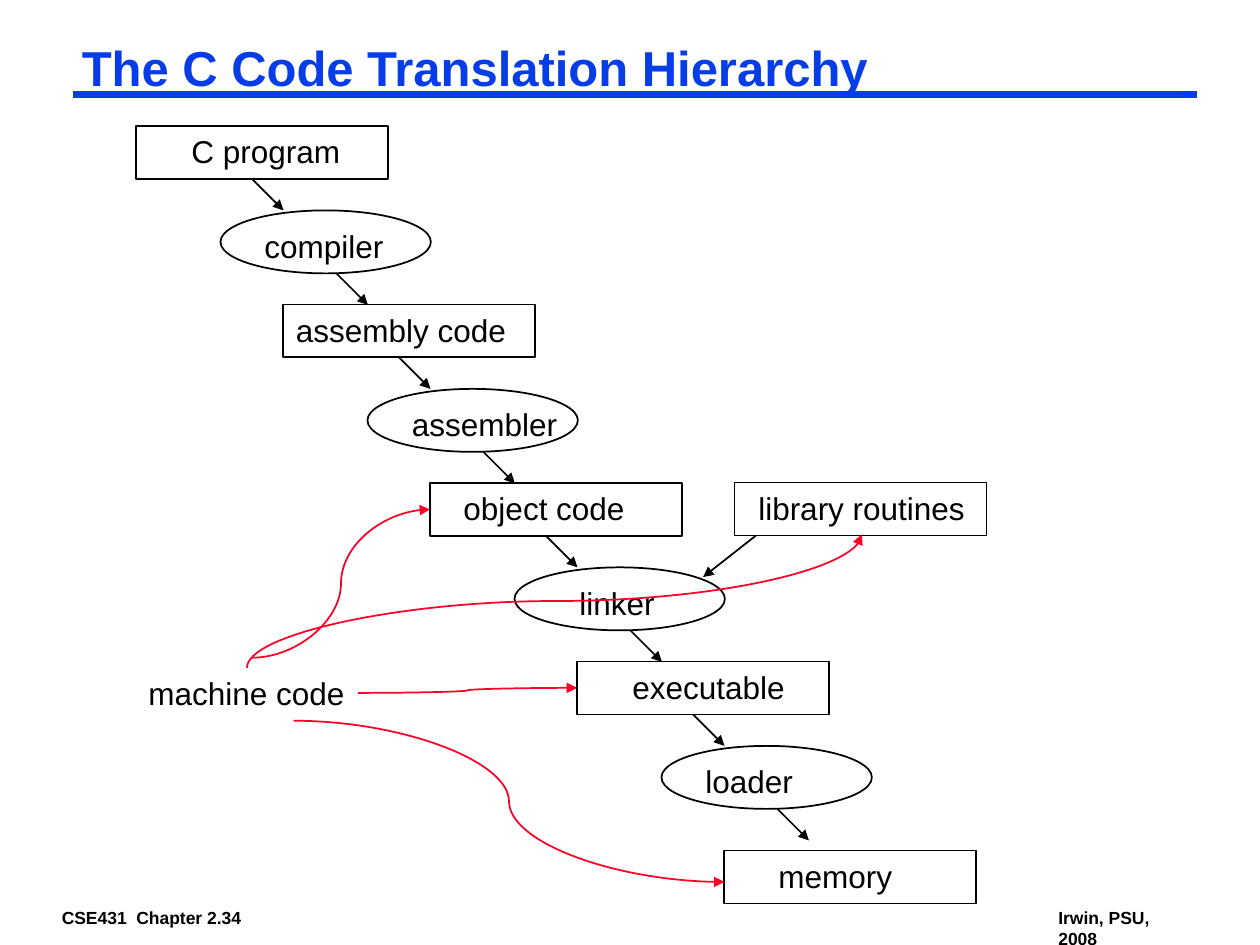
from dataclasses import dataclass

from lxml import etree
from pptx import Presentation
from pptx.dml.color import RGBColor
from pptx.enum import shapes, text
from pptx.oxml.ns import qn
from pptx.util import Inches, Pt

COLORS = {"ink": "000000", "title": "063DE8", "machine": "FC0128"}
FONT = "Arial"
STEP_X, STEP_Y = 7 / 6, 17 / 12  # shift from one translation stage to the next
BOX = (2, 0.42)
OVAL = (1.67, 0.5)
STRAIGHT = shapes.MSO_CONNECTOR.STRAIGHT
CURVE = shapes.MSO_CONNECTOR.CURVE


@dataclass
class Node:
    label: str
    left: float
    top: float
    label_left: float
    label_width: float
    is_tool: bool = False


def color(name: str) -> RGBColor:
    return RGBColor.from_string(COLORS[name])


def add_label(slide, words: str, left: float, top: float, width: float,
              height: float = 0.4, size: float = 18, bold: bool = False,
              inset: tuple = (0.1, 0.05), wrap: bool = False):
    label = slide.shapes.add_textbox(Inches(left), Inches(top), Inches(width), Inches(height))
    frame = label.text_frame
    frame.word_wrap = wrap
    frame.margin_left = frame.margin_right = Inches(inset[0])
    frame.margin_top = frame.margin_bottom = Inches(inset[1])
    paragraph = frame.paragraphs[0]
    paragraph.text = words
    font = paragraph.font
    font.name, font.size, font.bold = FONT, Pt(size), bold
    font.color.rgb = color("ink")
    return label


def add_node(slide, node: Node):
    kind = shapes.MSO_SHAPE.OVAL if node.is_tool else shapes.MSO_SHAPE.RECTANGLE
    width, height = OVAL if node.is_tool else BOX
    outline = slide.shapes.add_shape(kind, Inches(node.left), Inches(node.top),
                                     Inches(width), Inches(height))
    outline.shadow.inherit = False
    outline.fill.background()
    outline.line.color.rgb = color("ink")
    outline.line.width = Pt(1)
    label_top = node.top + (0.08 if node.is_tool else 0)
    add_label(slide, node.label, node.label_left, label_top, node.label_width)
    return outline


def add_line(slide, start: tuple, end: tuple, tint: str = "ink",
             kind=STRAIGHT, width: float = 1, arrow: bool = True):
    line = slide.shapes.add_connector(kind, *(Inches(v) for v in (*start, *end)))
    line.line.color.rgb = color(tint)
    line.line.width = Pt(width)
    properties = line._element.spPr
    if arrow:
        etree.SubElement(properties.find(qn("a:ln")), qn("a:tailEnd"), type="triangle")
    etree.SubElement(properties, qn("a:effectLst"))
    return line


def add_title(slide, words: str):
    title = slide.shapes.title
    title.left, title.top = Inches(0.58), Inches(0.33)
    title.width, title.height = Inches(8.92), Inches(0.46)
    frame = title.text_frame
    frame.auto_size = text.MSO_AUTO_SIZE.NONE
    frame.vertical_anchor = text.MSO_ANCHOR.TOP
    frame.margin_left = frame.margin_right = Inches(0.07)
    frame.margin_top = frame.margin_bottom = Inches(0.03)
    paragraph = frame.paragraphs[0]
    paragraph.text = words
    paragraph.alignment = text.PP_ALIGN.LEFT
    paragraph.line_spacing = 0.87
    font = paragraph.font
    font.name, font.size, font.bold = FONT, Pt(28), True
    font.color.rgb = color("title")


def main():
    deck = Presentation()
    deck.slide_width, deck.slide_height = Inches(10), Inches(7.5)
    slide = deck.slides.add_slide(deck.slide_layouts[5])

    # Footer, title and rule
    for words, left, width, height, wrap in (
        ("CSE431  Chapter 2.34", 0.42, 1.59, 0.22, False),
        ("Irwin, PSU, 2008", 8.33, 1.2, 0.39, True),
    ):
        add_label(slide, words, left, 7.17, width, height, 10, True, (0.07, 0.03), wrap)
    add_line(slide, (0.58, 0.75), (9.5, 0.75), "title", width=4.5, arrow=False)
    add_title(slide, "The C Code Translation Hierarchy")

    # Program forms, and the tools that translate between them
    forms = [("C program", 1.42, 1.39), ("assembly code", 2.25, 1.87),
             ("object code", 3.58, 1.48), ("executable", 4.92, 1.41),
             ("memory", 6.08, 1.1)]
    tools = [("compiler", 2, 1.15), ("assembler", 3.17, 1.35),
             ("linker", 4.5, 0.8), ("loader", 5.5, 0.9)]
    boxes = {}
    for stage, (label, left, width) in enumerate(forms):
        top = 6.75 if label == "memory" else 1 + stage * STEP_Y
        boxes[label] = add_node(slide, Node(label, 1.08 + stage * STEP_X, top, left, width))
    for stage, (label, left, width) in enumerate(tools):
        dx, dy = stage * STEP_X, stage * STEP_Y
        add_node(slide, Node(label, 1.75 + dx, 1.67 + dy, left, width, is_tool=True))
        for x, y in ((2 + dx, 1.42 + dy), (2.67 + dx, 2.17 + dy)):
            add_line(slide, (x, y), (x + 0.25, y + 0.25))

    # Library input to the linker
    add_node(slide, Node("library routines", 5.83, 3.83, 5.92, 1.84))
    add_line(slide, (6, 4.25), (5.58, 4.58))

    # Machine code, with curves to each form that holds it
    add_label(slide, "machine code", 1.08, 5.3, 1.76, wrap=True)
    to_object = add_line(slide, (2, 5.22), (3.42, 4.04), "machine", CURVE)
    to_object.end_connect(boxes["object code"], 1)
    to_executable = add_line(slide, (2.84, 5.5), (4.58, 5.46), "machine", CURVE)
    to_executable.end_connect(boxes["executable"], 1)
    add_line(slide, (2.33, 5.72), (5.75, 7), "machine", CURVE)
    # A quarter turn makes this curve leave and arrive vertically
    to_library = add_line(slide, (3.87, 2.33), (4.93, 7.21), "machine", CURVE)
    to_library._element.spPr.find(qn("a:xfrm")).set("rot", str(270 * 60000))

    deck.save("out.pptx")


if __name__ == "__main__":
    main()
